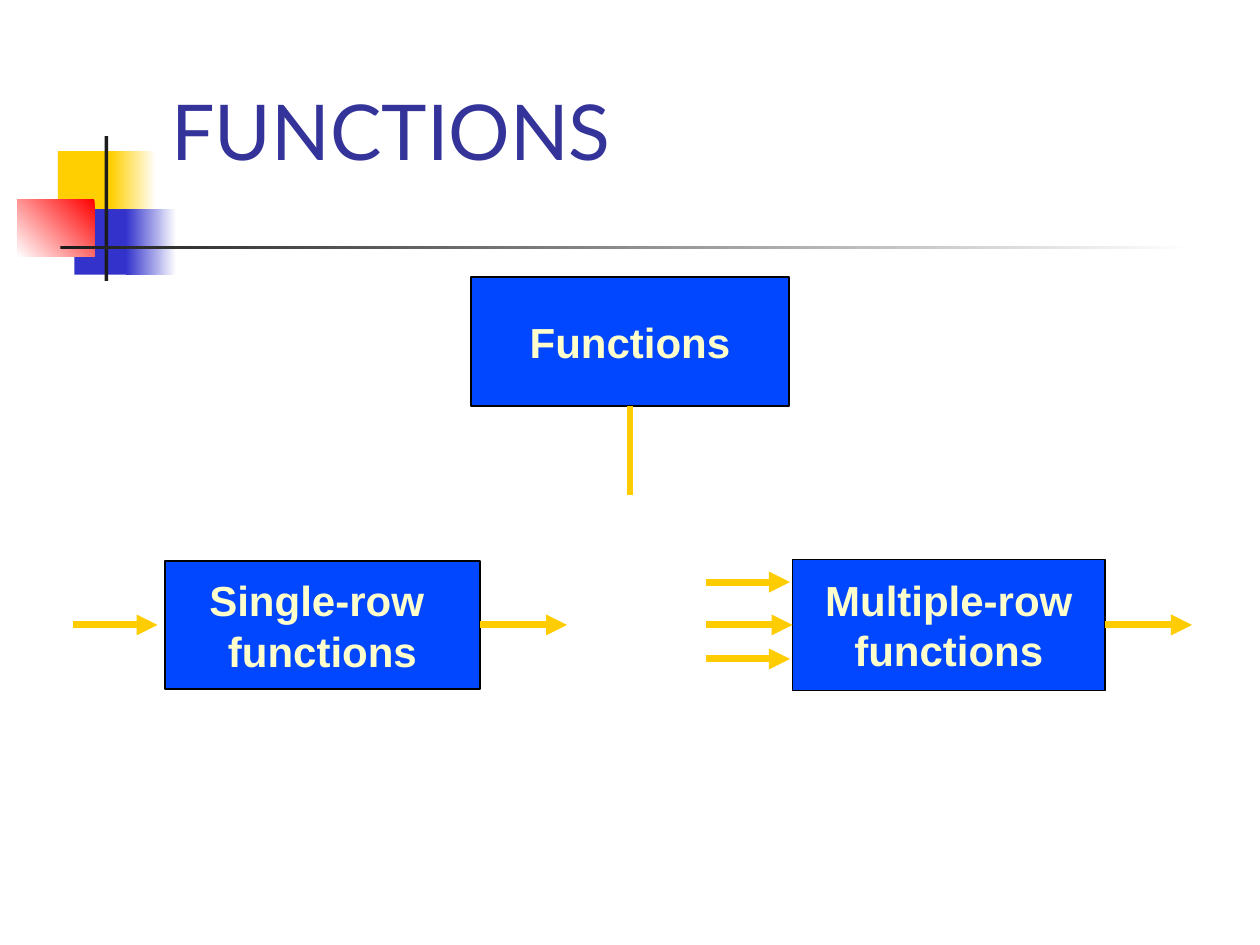
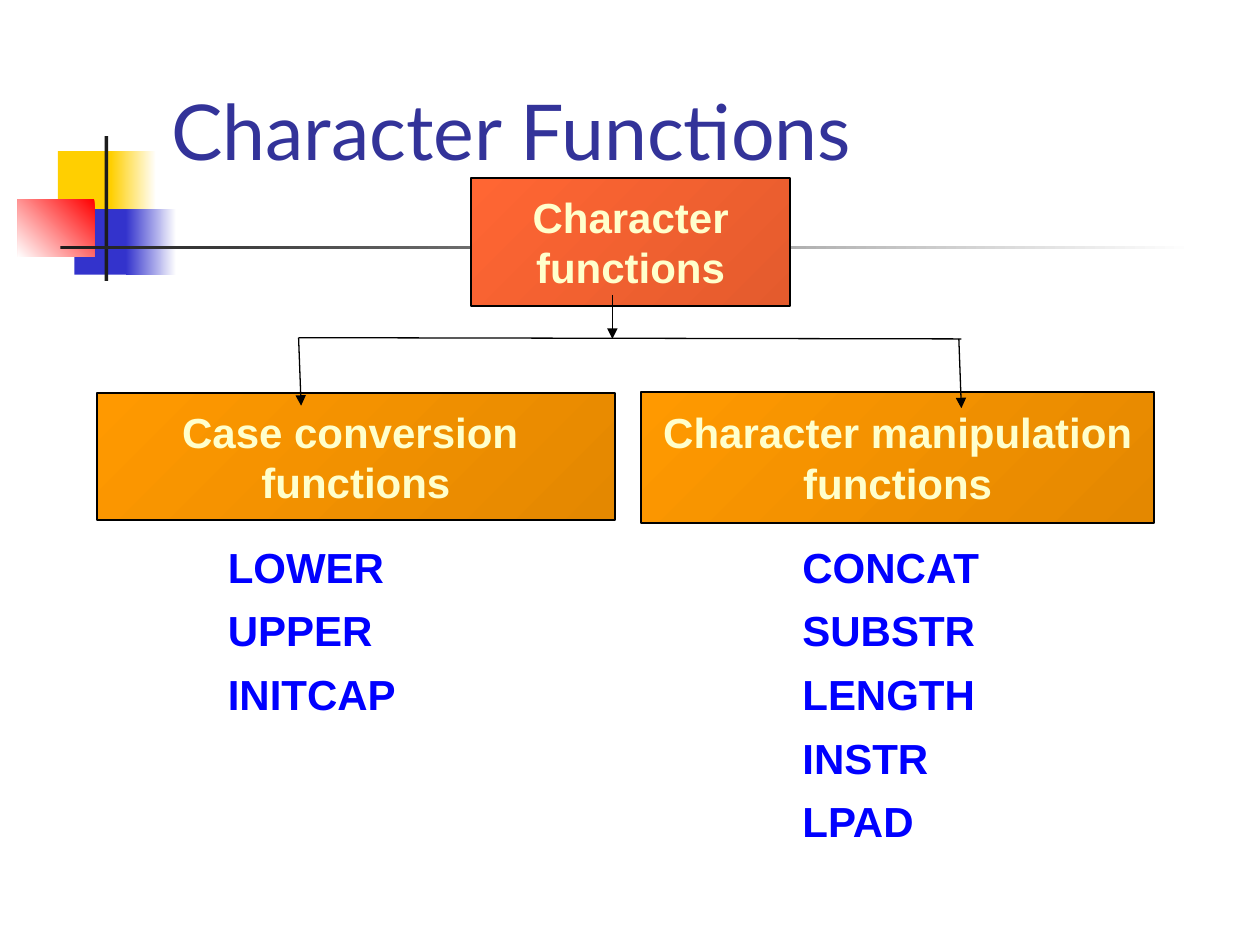
"""Build two slides that chart SQL function families."""
from lxml.etree import SubElement
from pptx import Presentation
from pptx.dml.color import RGBColor
from pptx.enum.shapes import MSO_CONNECTOR, MSO_SHAPE
from pptx.enum.text import MSO_ANCHOR, MSO_AUTO_SIZE, PP_ALIGN
from pptx.oxml.ns import qn
from pptx.util import Inches, Pt

COLORS = {
    "title": "333399", "yellow": "FFCF01", "indigo": "3333CC", "red": "FF0000",
    "white": "FFFFFF", "ink": "1C1C1C", "black": "000000", "blue": "0047FF",
    "cream": "FFFFCC", "gold": "FFCC00", "coral": "FF6633", "coral_dark": "E45B2D",
    "orange": "FF9900", "orange_dark": "E48800", "names": "0000FF",
}
MOTIF = [
    (0.46, 1.2, 0.48, 0.52, ("yellow",), 0),
    (0.88, 1.2, 0.36, 0.52, ("yellow", "white"), 0),
    (0.59, 1.66, 0.46, 0.52, ("indigo",), 0),
    (1, 1.66, 0.4, 0.52, ("indigo", "white"), 0),
    (0.14, 1.58, 0.61, 0.46, ("red", "white"), 225),
    (0.83, 1.08, 0.03, 1.15, ("ink",), 0),
    (0.48, 1.95, 9, 0.03, ("ink", "white"), 0),
]


def rgb(name):
    return RGBColor.from_string(COLORS[name])


class Deck:
    """Hold the shared style and the current slide."""

    def __init__(self):
        self.presentation = Presentation()
        self.presentation.slide_width = Inches(10)
        self.presentation.slide_height = Inches(7.5)
        self.slide = None

    def add_slide(self, heading):
        self.slide = self.presentation.slides.add_slide(self.presentation.slide_layouts[5])
        for left, top, width, height, colors, angle in MOTIF:
            self.block(left, top, width, height, colors, angle)
        title = self.slide.shapes.title
        title.left, title.top = Inches(1.26), Inches(0.23)
        title.width, title.height = Inches(8.52), Inches(1.6)
        title.text_frame.vertical_anchor = MSO_ANCHOR.MIDDLE
        self.set_lines(title.text_frame, [heading], "title", 44, "Lato", False)

    def set_lines(self, frame, lines, color, size=24, font="Arial", bold=True,
                  align=PP_ALIGN.LEFT):
        frame.text = "\n".join(lines)
        for paragraph in frame.paragraphs:
            paragraph.alignment = align
            for run in paragraph.runs:
                run.font.name, run.font.size, run.font.bold = font, Pt(size), bold
                run.font.color.rgb = rgb(color)

    def block(self, left, top, width, height, colors, angle=0):
        block = self.slide.shapes.add_shape(
            MSO_SHAPE.RECTANGLE, Inches(left), Inches(top), Inches(width), Inches(height))
        block.shadow.inherit = False
        block.line.fill.background()
        if len(colors) == 1:
            block.fill.solid()
            block.fill.fore_color.rgb = rgb(colors[0])
        else:
            block.fill.gradient()
            block.fill.gradient_angle = angle
            for stop, color in zip(block.fill.gradient_stops, colors):
                stop.color.rgb = rgb(color)
        return block

    def box(self, left, top, width, height, lines, *colors):
        box = self.block(left, top, width, height, colors, 315)
        box.line.color.rgb = rgb("black")
        box.line.width = Pt(1)
        box.text_frame.word_wrap = False
        box.text_frame.vertical_anchor = MSO_ANCHOR.MIDDLE
        self.set_lines(box.text_frame, lines, "cream", align=PP_ALIGN.CENTER)
        return box

    def line(self, start, end, color="black", width=0.75, arrow=True,
             begin_at=None, end_at=None):
        line = self.slide.shapes.add_connector(
            MSO_CONNECTOR.STRAIGHT, *(Inches(value) for value in (*start, *end)))
        line.line.color.rgb = rgb(color)
        line.line.width = Pt(width)
        properties = line._element.spPr
        if arrow:
            SubElement(properties.find(qn("a:ln")), qn("a:tailEnd"), type="triangle")
        SubElement(properties, qn("a:effectLst"))
        if begin_at:
            line.begin_connect(*begin_at)
        if end_at:
            line.end_connect(*end_at)

    def flow(self, left, middle, **joins):
        self.line((left, middle), (left + 0.67, middle), "gold", 4, **joins)

    def names(self, left, top, width, height, lines):
        names = self.slide.shapes.add_textbox(
            Inches(left), Inches(top), Inches(width), Inches(height))
        frame = names.text_frame
        frame.word_wrap = False
        frame.auto_size = MSO_AUTO_SIZE.SHAPE_TO_FIT_TEXT
        self.set_lines(frame, lines, "names")
        for index, paragraph in enumerate(frame.paragraphs):
            paragraph.line_spacing = 0.9
            paragraph.space_before = Pt(10.5 if index else 0)


def functions_slide(deck):
    deck.add_slide("FUNCTIONS")
    functions = deck.box(3.74, 2.2, 2.52, 1.02, ["Functions"], "blue")
    single_row = deck.box(1.31, 4.45, 2.5, 1.02, ["Single-row ", "functions"], "blue")
    multiple_row = deck.box(6.29, 4.44, 2.48, 1.04, ["Multiple-row", "functions"], "blue")
    deck.flow(0.58, 4.96)
    deck.flow(3.83, 4.96, begin_at=(single_row, 3))
    deck.flow(5.6, 4.62)
    deck.flow(5.6, 4.96, end_at=(multiple_row, 1))
    deck.flow(5.6, 5.23)
    deck.flow(8.79, 4.96, begin_at=(multiple_row, 3))
    deck.line((5, 3.93), (5, 3.2), "gold", 4, arrow=False, end_at=(functions, 2))


def character_slide(deck):
    deck.add_slide("Character Functions")
    deck.box(3.74, 1.41, 2.53, 1.02, ["Character", "functions"], "coral", "coral_dark")
    deck.box(0.77, 3.12, 4.11, 1.01, ["Case conversion ", "functions"],
             "orange", "orange_dark")
    deck.box(5.09, 3.11, 4.07, 1.04, ["Character manipulation", "functions"],
             "orange", "orange_dark")
    deck.line((2.37, 2.68), (7.63, 2.69), arrow=False)
    deck.line((2.37, 2.68), (2.39, 3.22))
    deck.line((7.61, 2.69), (7.63, 3.24))
    deck.line((4.86, 2.34), (4.86, 2.69))
    deck.names(1.71, 4.29, 1.54, 1.47, ["LOWER", "UPPER", "INITCAP"])
    deck.names(6.27, 4.29, 1.63, 2.48, ["CONCAT", "SUBSTR", "LENGTH", "INSTR", "LPAD"])


def main():
    deck = Deck()
    functions_slide(deck)
    character_slide(deck)
    deck.presentation.save("out.pptx")


if __name__ == "__main__":
    main()
